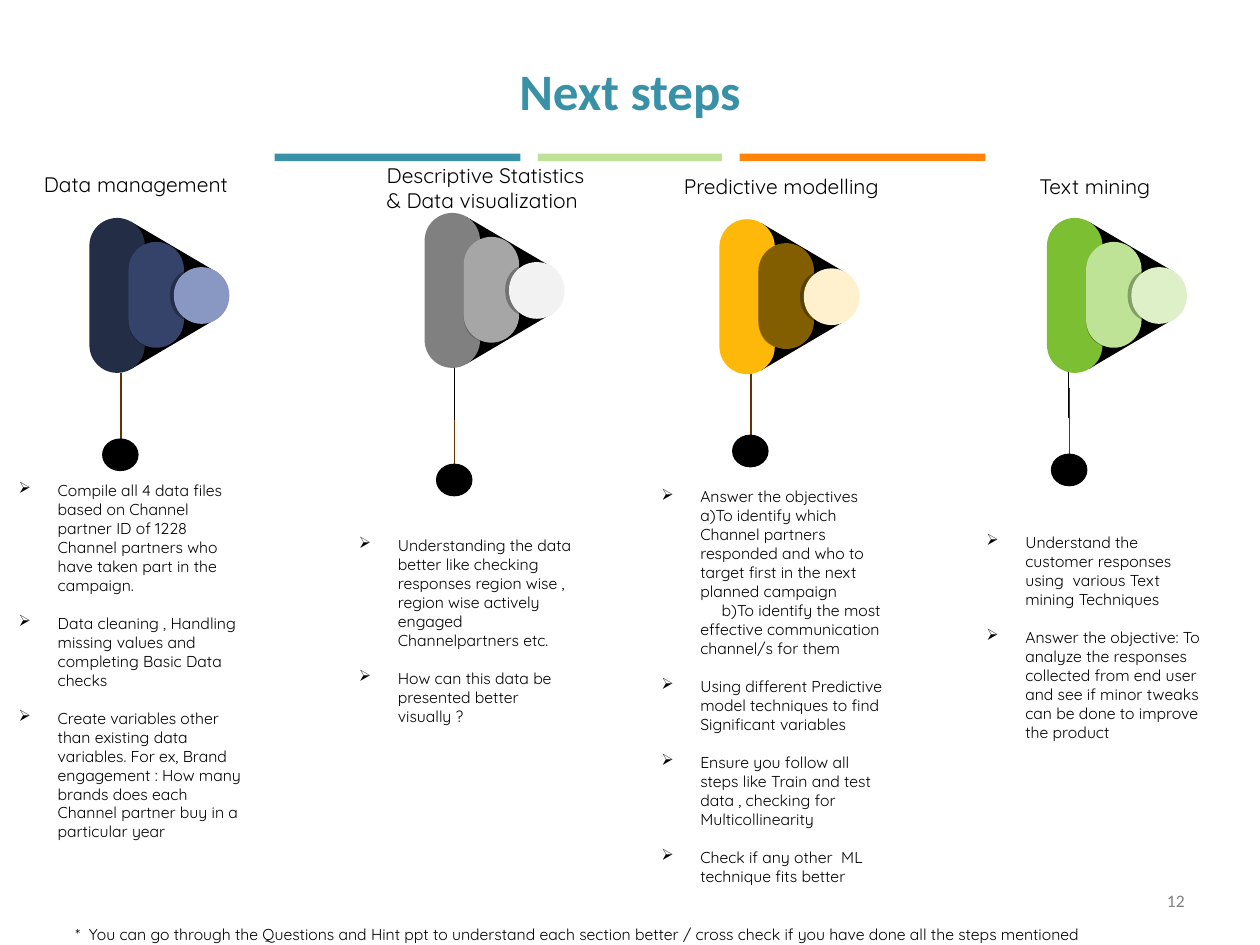
import pptx
import pptx.chart.data
import pptx.dml.color
import pptx.enum.shapes
import pptx.enum.text
import pptx.oxml
import pptx.oxml.ns
import pptx.util
from dataclasses import dataclass

Inches = pptx.util.Inches
Pt = pptx.util.Pt
SHAPE = pptx.enum.shapes.MSO_SHAPE
ALIGN = pptx.enum.text.PP_ALIGN
ANCHOR = pptx.enum.text.MSO_ANCHOR


@dataclass(frozen=True)
class Theme:
    title_font: str = "Calibri"
    body_font: str = "Quicksand"
    ink: str = "000000"
    title: str = "3891A7"
    number: str = "808080"
    stem: str = "663300"
    title_size: float = 29.2
    heading_size: float = 12
    number_size: float = 10
    body_size: float = 9
    item_gap: float = 10.9
    stem_width: float = 0.75


THEME = Theme()

TITLE = "Next steps"
PAGE_NUMBER = "12"
FOOTNOTE = ("*  You can go through the Questions and Hint ppt to understand each section better"
            " / cross check if you have done all the steps mentioned")
RULES = [(2.18, 1.95, "3891A7"), (4.27, 1.46, "BEE396"), (5.87, 1.95, "FF850A")]

STEPS = [
    dict(
        heading=["Data management"], heading_at=(0.25, 1.31),
        icon_at=(0.71, 1.73), colours=("242D46", "35436A", "8898C3"),
        pin_at=(0.81, 3.48), accent=None, list_at=(0.05, 4.14),
        items=[
            ["Compile all 4 data files based on Channel partner ID of 1228 Channel partners"
             " who have taken part in the campaign."],
            ["Data cleaning , Handling missing values and completing Basic Data checks"],
            ["Create variables other than existing data variables. For ex, Brand engagement"
             " : How many brands does each Channel partner buy in a particular year"],
        ]),
    dict(
        heading=["Descriptive Statistics", "& Data visualization"], heading_at=(2.97, 1.24),
        icon_at=(3.37, 1.69), colours=("808080", "A6A6A6", "F2F2F2"),
        pin_at=(3.46, 3.68), accent=(3.61, 2.9, 3.33), list_at=(2.75, 3.9),
        items=[
            ["Understanding the data better like checking responses region wise ,"
             " region wise actively engaged Channelpartners etc."],
            ["How can this data be presented better visually ?"],
        ]),
    dict(
        heading=["Predictive modelling"], heading_at=(5.33, 1.33),
        icon_at=(5.71, 1.74), colours=("FEB80A", "835E01", "FFF1CE"),
        pin_at=(5.81, 3.45), accent=None, list_at=(5.15, 4.34),
        items=[
            ["Answer the objectives a)To identify which Channel partners responded and"
             " who to target first in the next planned campaign",
             "b)To identify the most effective communication channel/s for them"],
            ["Using different Predictive model techniques to find Significant variables"],
            ["Ensure you follow all steps like Train and test data , checking for"
             " Multicollinearity"],
            ["Check if any other  ML technique fits better"],
        ]),
    dict(
        heading=["Text mining"], heading_at=(8.15, 1.33),
        icon_at=(8.31, 1.73), colours=("7CBF33", "BEE396", "DDF0C8"),
        pin_at=(8.34, 3.6), accent=(8.48, 2.71, 3.32), list_at=(7.73, 3.95),
        items=[
            ["Understand the customer responses using  various Text mining Techniques"],
            ["Answer the objective: To analyze the responses collected from end user"
             " and see if minor tweaks can be done to improve the product"],
        ]),
]

BACKDROP = [(0.33, 0.03), (1.01, 0.43), (1.1, 0.62), (1.01, 0.8), (0.33, 1.2)]
LAYERS = [(0, 0, 1.23), (0.31, 0.19, 0.84), (0.67, 0.39, 0.45)]
SHADES = [(0.31, 0.22, 0.8, 0.2), (0.64, 0.41, 0.41, 0.2)]


def rgb(colour):
    return pptx.dml.color.RGBColor.from_string(colour)


def paint(shape, colour, opacity=100):
    shape.shadow.inherit = False
    shape.fill.solid()
    shape.fill.fore_color.rgb = rgb(colour)
    shape.line.fill.background()
    if opacity < 100:
        tint = shape.fill._xPr.find(".//" + pptx.oxml.ns.qn("a:srgbClr"))
        pptx.oxml.ns.qn("a:alpha")
        alpha = tint.makeelement(pptx.oxml.ns.qn("a:alpha"), {"val": str(opacity * 1000)})
        tint.append(alpha)


def add_block(shapes, kind, left, top, width, height, colour):
    block = shapes.add_shape(kind, Inches(left), Inches(top), Inches(width), Inches(height))
    paint(block, colour)
    return block


def add_outline(shapes, left, top, points, colour, opacity=100):
    corners = [(Inches(left + x), Inches(top + y)) for x, y in points]
    builder = shapes.build_freeform(*corners[0])
    builder.add_line_segments(corners[1:], close=True)
    paint(builder.convert_to_shape(), colour, opacity)


def add_stem(shapes, x, top, bottom, colour):
    stem = shapes.add_connector(pptx.enum.shapes.MSO_CONNECTOR.STRAIGHT,
                                Inches(x), Inches(top), Inches(x), Inches(bottom))
    stem.line.color.rgb = rgb(colour)
    stem.line.width = Pt(THEME.stem_width)
    properties = stem._element.spPr
    properties.append(properties.makeelement(pptx.oxml.ns.qn("a:effectLst"), {}))


def shade_points(height, bend):
    steps = [i / 8 for i in range(9)]
    upper = [((1 - t) ** 3 * 0.1 + 3 * (1 - t) ** 2 * t * 0.04,
              (1 - t) ** 3 * 0.02 + 3 * (1 - t) ** 2 * t * 0.05
              + 3 * (1 - t) * t ** 2 * 0.12 + t ** 3 * bend) for t in steps]
    lower = [(x, height - y) for x, y in reversed(upper)]
    return [(0.13, 0)] + upper + lower + [(0.13, height)]


def add_icon(slide, left, top, colours):
    shapes = slide.shapes.add_group_shape().shapes
    add_outline(shapes, left, top, BACKDROP, THEME.ink)
    for index, ((x, y, height), colour) in enumerate(zip(LAYERS, colours)):
        layer = add_block(shapes, SHAPE.ROUNDED_RECTANGLE, left + x, top + y, 0.44, height, colour)
        layer.adjustments[0] = 0.5
        if index < len(SHADES):
            dx, dy, shade_height, bend = SHADES[index]
            add_outline(shapes, left + dx, top + dy, shade_points(shade_height, bend),
                        THEME.ink, 30)


def add_pin(slide, left, top):
    shapes = slide.shapes.add_group_shape().shapes
    add_stem(shapes, left + 0.15, top - 0.52, top + 0.21, THEME.stem)
    add_block(shapes, SHAPE.OVAL, left, top, 0.29, 0.26, THEME.ink)


def add_frame(slide, left, top, width, height, anchor=ANCHOR.TOP, inset=0.05):
    frame = slide.shapes.add_textbox(Inches(left), Inches(top), Inches(width),
                                     Inches(height)).text_frame
    frame.word_wrap = True
    frame.vertical_anchor = anchor
    frame.margin_top = frame.margin_bottom = Inches(inset)
    return frame


def write(frame, text, size, colour=THEME.ink, font=THEME.body_font, bold=False, align=None):
    first = frame.paragraphs[0]
    paragraph = first if not first.runs else frame.add_paragraph()
    paragraph.alignment = align
    run = paragraph.add_run()
    run.text = text
    run.font.size, run.font.name, run.font.bold = Pt(size), font, bold
    run.font.color.rgb = rgb(colour)
    return paragraph


def add_list(slide, left, top, items):
    frame = add_frame(slide, left, top, 1.97, 2.21, ANCHOR.MIDDLE, 0.1)
    for item_index, item in enumerate(items):
        for part_index, part in enumerate(item):
            paragraph = write(frame, part, THEME.body_size)
            properties = paragraph._p.get_or_add_pPr()
            properties.set("marL", str(Inches(0.31)))
            properties.set("indent", str(Inches(0.17 if part_index else -0.31)))
            if part_index == 0:
                if item_index:
                    paragraph.space_before = Pt(THEME.item_gap)
                properties.append(properties.makeelement(pptx.oxml.ns.qn("a:buChar"), {"char": "➢"}))


def main():
    """Build the next-steps slide with its four work streams."""
    deck = pptx.Presentation()
    deck.slide_width, deck.slide_height = Inches(10), Inches(7.5)
    slide = deck.slides.add_slide(deck.slide_layouts[6])
    write(add_frame(slide, 0.5, 0.27, 9, 0.89, ANCHOR.MIDDLE), TITLE, THEME.title_size,
          THEME.title, THEME.title_font, True, ALIGN.CENTER)
    for left, width, colour in RULES:
        add_block(slide.shapes, SHAPE.RECTANGLE, left, 1.22, width, 0.06, colour)
    for step in STEPS:
        add_pin(slide, *step["pin_at"])
        if step["accent"]:
            add_stem(slide.shapes, *step["accent"], THEME.ink)
        add_icon(slide, *step["icon_at"], step["colours"])
        heading = add_frame(slide, *step["heading_at"], 3, 0.1 + 0.2 * len(step["heading"]))
        for line in step["heading"]:
            write(heading, line, THEME.heading_size)
        add_list(slide, *step["list_at"], step["items"])
    write(add_frame(slide, 7.17, 6.95, 2.33, 0.4, ANCHOR.MIDDLE), PAGE_NUMBER,
          THEME.number_size, THEME.number, THEME.title_font, align=ALIGN.RIGHT)
    write(add_frame(slide, 0.5, 7.29, 9.27, 0.25), FOOTNOTE, THEME.body_size)
    deck.save("out.pptx")


if __name__ == "__main__":
    main()
